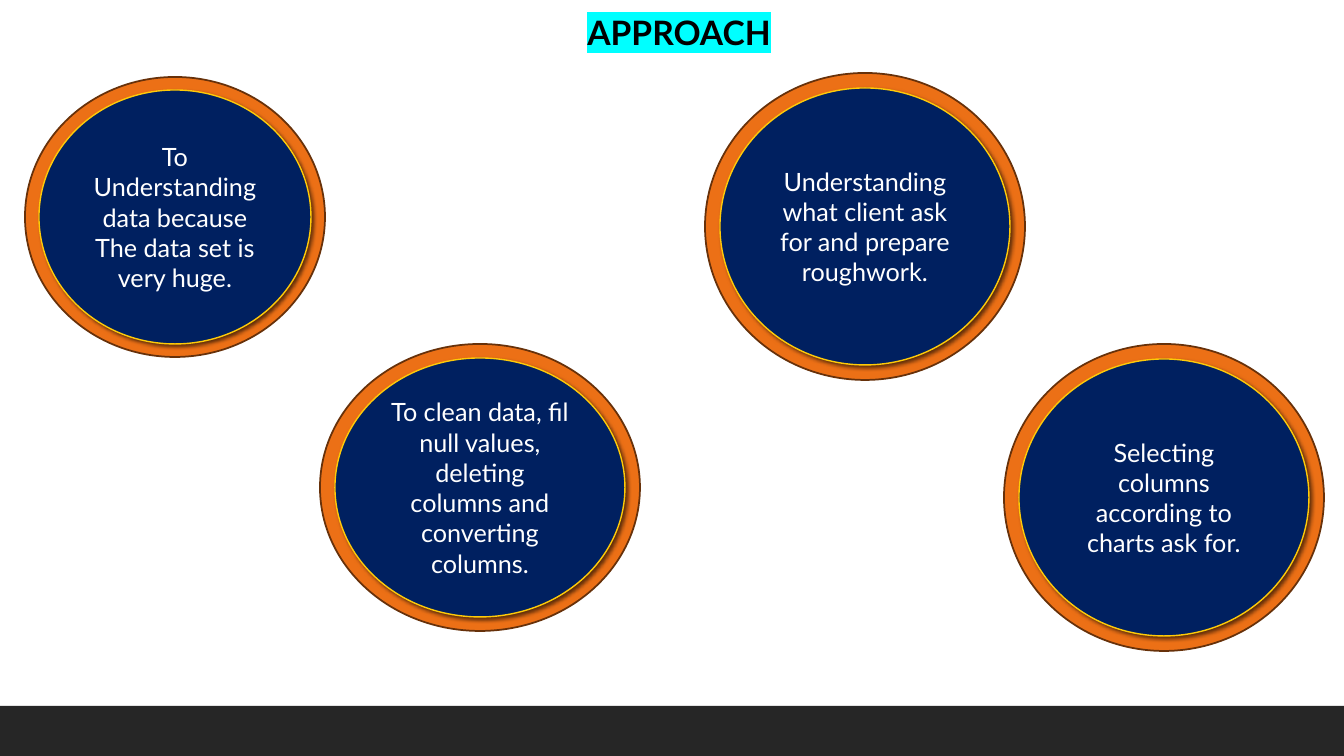
"""Build the APPROACH slide: four ringed circles above a dark footer bar."""
from lxml.etree import SubElement
from pptx import Presentation
from pptx.dml.color import RGBColor
from pptx.enum.shapes import MSO_SHAPE
from pptx.enum.text import MSO_ANCHOR, PP_ALIGN
from pptx.oxml import parse_xml
from pptx.oxml.ns import nsdecls, qn
from pptx.util import Emu, Pt

FONT = "Lato"
BLACK = RGBColor(0x00, 0x00, 0x00)
WHITE = RGBColor(0xFF, 0xFF, 0xFF)
CHARCOAL = RGBColor(0x26, 0x26, 0x26)
ORANGE = RGBColor(0xEC, 0x70, 0x16)
BROWN = RGBColor(0x67, 0x31, 0x0A)
NAVY = RGBColor(0x00, 0x20, 0x60)
GOLD = RGBColor(0xFF, 0xCA, 0x08)
CYAN = RGBColor(0x00, 0xFF, 0xFF)
RING_SHARE = 0.0475

CIRCLES = [
    (25, 77, 300, 280, ["To Understanding data because", "The data set is very huge."]),
    (320, 344, 320, 287, ["To clean data, fil null values, deleting columns and converting columns."]),
    (1004, 344, 320, 307, ["Selecting columns according to charts ask for."]),
    (705, 73, 320, 307, ["Understanding what client ask for and prepare roughwork."]),
]


def px(n):
    return Emu(round(n * 914400 / 100.8))


def add_filled(shapes, kind, x, y, w, h, fill, line=None, weight=1):
    s = shapes.add_shape(kind, px(x), px(y), px(w), px(h))
    s.shadow.inherit = False
    s.fill.solid()
    s.fill.fore_color.rgb = fill
    if line is None:
        s.line.fill.background()
    else:
        s.line.color.rgb = line
        s.line.width = Pt(weight)
    return s


prs = Presentation()
prs.slide_width, prs.slide_height = px(1344), px(756)
slide = prs.slides.add_slide(prs.slide_layouts[5])

add_filled(slide.shapes, MSO_SHAPE.RECTANGLE, 0, 706, 1344, 50, CHARCOAL)

for x, y, w, h, lines in CIRCLES:
    group = slide.shapes.add_group_shape()
    add_filled(group.shapes, MSO_SHAPE.OVAL, x, y, w, h, ORANGE, BROWN, 1.25)
    dx, dy = round(w * RING_SHARE), round(h * RING_SHARE)
    disc = add_filled(group.shapes, MSO_SHAPE.OVAL, x + dx, y + dy,
                      w - 2 * dx, h - 2 * dy, NAVY, GOLD)
    effects = disc._element.spPr.find(qn("a:effectLst"))
    effects.append(parse_xml(
        f'<a:outerShdw {nsdecls("a")} blurRad="{Pt(3)}" dist="{Pt(2)}" dir="{45 * 60000}" '
        'algn="tl" rotWithShape="0"><a:srgbClr val="000000"><a:alpha val="60000"/>'
        '</a:srgbClr></a:outerShdw>'))
    tf = disc.text_frame
    tf.word_wrap = True
    tf.vertical_anchor = MSO_ANCHOR.MIDDLE
    tf.text = "\n".join(lines)
    for p in tf.paragraphs:
        p.alignment = PP_ALIGN.CENTER
        p.font.name = FONT
        p.font.size = Pt(18)
        p.font.color.rgb = WHITE

title = slide.shapes.title
title.left, title.top, title.width, title.height = px(431), px(7), px(496), px(50)
tf = title.text_frame
tf.word_wrap = True
tf.vertical_anchor = MSO_ANCHOR.TOP
p = tf.paragraphs[0]
p.alignment = PP_ALIGN.CENTER
r = p.add_run()
r.text = "APPROACH"
r.font.size = Pt(24)
r.font.bold = True
r.font.color.rgb = BLACK
highlight = SubElement(r.font._element, qn("a:highlight"))
SubElement(highlight, qn("a:srgbClr"), val=str(CYAN))
r.font.name = FONT

prs.save("out.pptx")
